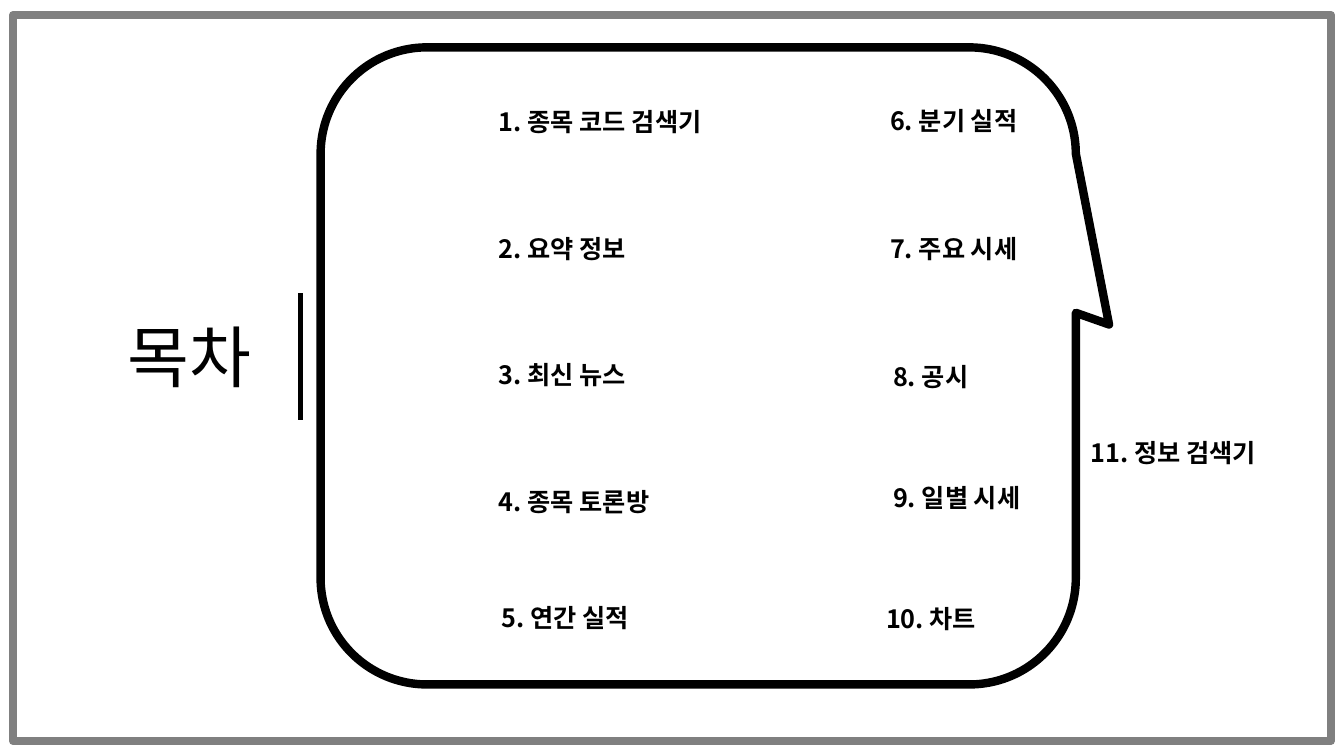
from pptx import Presentation
from pptx.dml.color import RGBColor
from pptx.enum.shapes import MSO_CONNECTOR as Connector, MSO_SHAPE as Shape
from pptx.enum.text import MSO_ANCHOR as Anchor, PP_ALIGN as Align
from pptx.oxml.ns import qn
from pptx.util import Inches, Pt

CELL = 0.5  # side of one grid cell, in inches


def color(hex_code):
    return RGBColor.from_string(hex_code)


def grid(*cells):
    return [Inches(cell * CELL) for cell in cells]


class ContentsSlide:
    face = "Noto Sans CJK KR"
    ink, paper, border = "000000", "FFFFFF", "808080"

    def __init__(self, deck):
        self.slide = deck.slides.add_slide(deck.slide_layouts[5])
        self.shapes = self.slide.shapes

    def letter(self, frame, wording, size, bold=False, align=Align.LEFT):
        frame.word_wrap = True
        paragraph = frame.paragraphs[0]
        paragraph.text = wording
        paragraph.alignment = align
        font = paragraph.font
        font.size, font.bold, font.name = Pt(size), bold, self.face
        font.color.rgb = color(self.ink)
        # Korean glyphs take the East Asian typeface
        latin = font._element.find(qn("a:latin"))
        latin.addnext(latin.makeelement(qn("a:ea"), {"typeface": self.face}))

    def title(self, wording, *box):
        heading = self.shapes.title
        heading.left, heading.top, heading.width, heading.height = grid(*box)
        heading.text_frame.vertical_anchor = Anchor.MIDDLE
        self.letter(heading.text_frame, wording, 48, align=Align.RIGHT)

    def outline(self, preset, box, line, fill=None, adjustments=()):
        panel = self.shapes.add_shape(preset, *grid(*box))
        panel.shadow.inherit = False
        for index, value in enumerate(adjustments):
            panel.adjustments[index] = value
        if fill:
            panel.fill.solid()
            panel.fill.fore_color.rgb = color(fill)
        else:
            panel.fill.background()
        panel.line.color.rgb = color(line)
        panel.line.width = Pt(6)

    def divider(self, column, top, bottom):
        rule = self.shapes.add_connector(
            Connector.STRAIGHT, *grid(column, top, column, bottom))
        rule.line.color.rgb = color(self.ink)
        rule.line.width = Pt(3)
        properties = rule._element.spPr
        properties.append(properties.makeelement(qn("a:effectLst"), {}))

    def entry(self, wording, column, row, width):
        label = self.shapes.add_textbox(*grid(column, row, width, 0.8))
        self.letter(label.text_frame, wording, 18, bold=True)


def main():
    deck = Presentation()
    deck.slide_width, deck.slide_height = Inches(13.33), Inches(7.5)
    contents = ContentsSlide(deck)

    # Speech bubble and slide border
    contents.outline(Shape.ROUNDED_RECTANGULAR_CALLOUT, (6.36, 0.94, 14.98, 12.64),
                     contents.ink, contents.paper, (0.544, -0.065, 0.167))
    contents.outline(Shape.RECTANGLE, (0.26, 0.3, 26.14, 14.4), contents.border)

    # Heading with its divider
    contents.title("목차", 2.08, 6.14, 3.1, 1.82)
    contents.divider(5.96, 5.82, 8.34)

    # Entries: wording, column, row, width
    entries = [
        ("종목 코드 검색기", 9.7, 2.02, 4.9),
        ("요약 정보", 9.7, 4.54, 3.2),
        ("최신 뉴스", 9.7, 7.04, 3.2),
        ("종목 토론방", 9.7, 9.56, 3.72),
        ("연간 실적", 9.76, 11.86, 3.2),
        ("분기 실적", 17.46, 2, 3.2),
        ("주요 시세", 17.46, 4.54, 3.2),
        ("공시", 17.52, 7.08, 2.02),
        ("일별 시세", 17.52, 9.48, 3.2),
        ("차트", 17.38, 11.88, 2.3),
        ("정보 검색기", 21.44, 8.58, 4.02),
    ]
    for number, (topic, *place) in enumerate(entries, start=1):
        contents.entry(f"{number}. {topic}", *place)

    deck.save("out.pptx")


if __name__ == "__main__":
    main()
